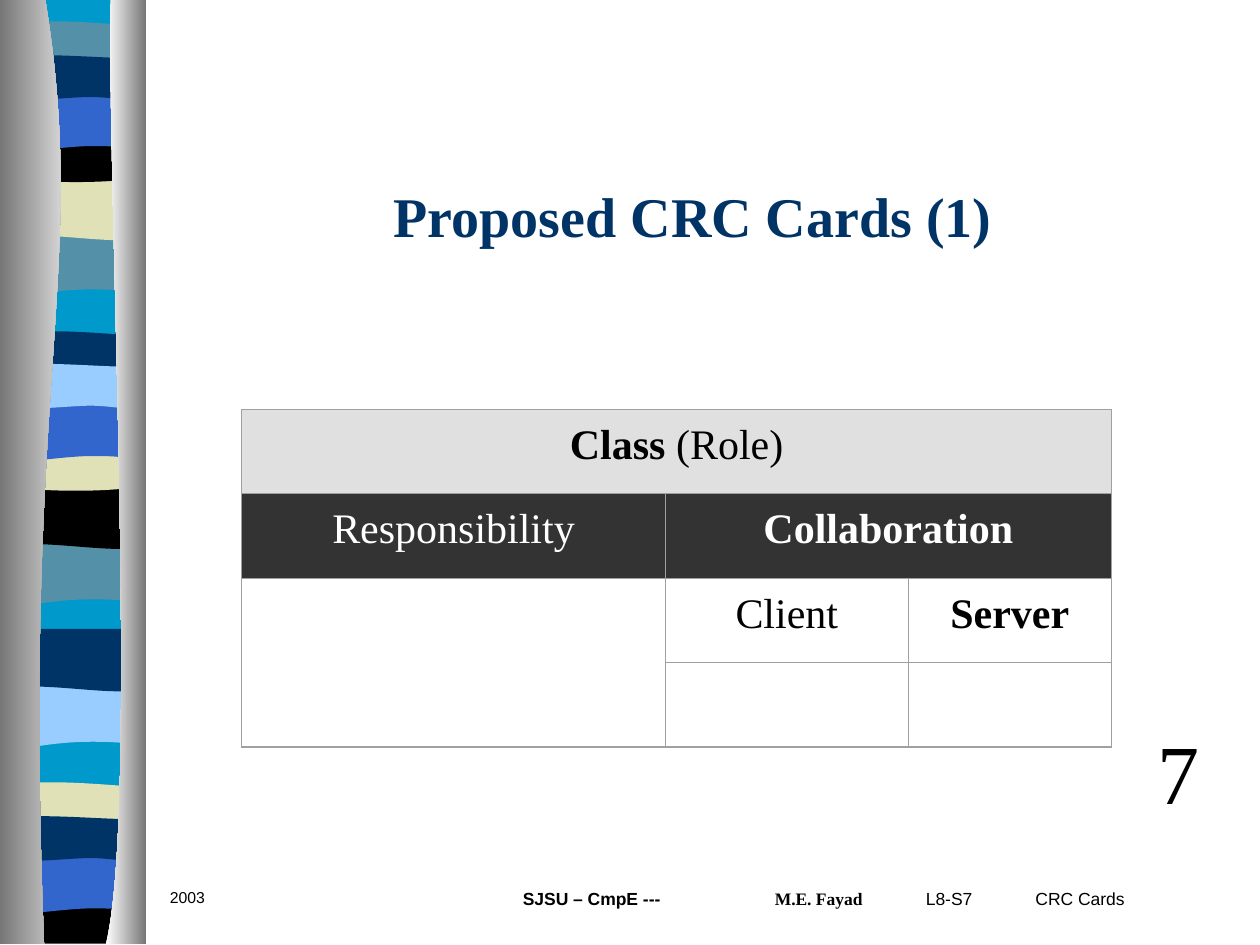
import dataclasses

import lxml.etree
import pptx
import pptx.dml.color
import pptx.enum.text
import pptx.oxml.ns
import pptx.util

Inches = pptx.util.Inches
Align = pptx.enum.text.PP_ALIGN
Anchor = pptx.enum.text.MSO_ANCHOR
qn = pptx.oxml.ns.qn


@dataclasses.dataclass(frozen=True)
class Theme:
    serif: str = "Times New Roman"
    sans: str = "Arial"
    black: str = "000000"
    white: str = "FFFFFF"
    navy: str = "003366"
    royal: str = "3366CC"
    teal: str = "5490A8"
    cyan: str = "0099CC"
    sky: str = "99CCFF"
    sand: str = "E1E1B7"
    steel: str = "767676"
    header: str = "E0E0E0"
    subheader: str = "333333"
    border: str = "A0A0A0"
    border_width: float = 0.75
    title_size: int = 32
    cell_size: int = 24
    number_size: int = 48
    footer_size: int = 10
    date_size: int = 9


THEME = Theme()
LEFT, RIGHT = 0.06, 1.14

# Band outlines below the band's top: each part is a line end or a curve's
# two controls and end. The first list runs leftwards, the second rightwards.
FLAT_TOP = [[(RIGHT, 0)]]
PROFILES = {
    "swell": ([[(RIGHT, 0.47)], [(0.39, 0.39), (0.24, 0.55), (LEFT, 0.47)]], FLAT_TOP),
    "ripple": ([[(RIGHT, 0.47)], [(0.96, 0.55), (0.39, 0.42), (LEFT, 0.47)]], FLAT_TOP),
    "lens": ([[(RIGHT, 0.24)], [(0.96, 0.28), (0.24, 0.28), (LEFT, 0.24)]],
             [[(0.12, -0.05), (0.29, -0.04), (0.47, -0.04)],
              [(0.65, -0.04), (1.0, -0.01), (RIGHT, 0)]]),
    "bowl": ([[(RIGHT, 0.32)], [(0.96, 0.38), (0.24, 0.38), (LEFT, 0.32)]],
             [[(0.72, 0.05), (0.91, 0), (RIGHT, 0)]]),
    "floor": ([[(RIGHT, 0.37)], [(LEFT, 0.37)]],
              [[(0.72, 0.05), (0.91, 0), (RIGHT, 0)]]),
    "arch": ([[(RIGHT, 0.47)], [(0.97, 0.42), (0.9, 0.42), (0.72, 0.42)],
              [(0.54, 0.42), (0.22, 0.47), (LEFT, 0.47)]], FLAT_TOP),
    "wave": ([[(RIGHT, 0.31)], [(1.07, 0.36), (0.9, 0.31), (0.72, 0.31)],
              [(0.54, 0.31), (0.17, 0.36), (LEFT, 0.31)]],
             [[(0.21, -0.05), (0.79, 0), (0.97, 0)], [(RIGHT, 0)]]),
}

# Bands from back to front: profile, top, colour
BANDS = [
    ("swell", 1.85, THEME.teal), ("ripple", 1.41, THEME.sand),
    ("lens", 0.21, THEME.teal), ("bowl", 1.08, THEME.black),
    ("arch", 0.74, THEME.royal), ("wave", 0.46, THEME.navy),
    ("swell", 4.31, THEME.teal), ("ripple", 3.86, THEME.black),
    ("lens", 2.67, THEME.navy), ("bowl", 3.53, THEME.sand),
    ("arch", 3.2, THEME.royal), ("wave", 2.91, THEME.sky),
    ("swell", 5.44, THEME.sky), ("ripple", 4.99, THEME.navy),
    ("lens", 6.25, THEME.sand), ("floor", 7.12, THEME.black),
    ("arch", 6.79, THEME.royal), ("wave", 6.5, THEME.navy),
]


def rgb(value):
    return pptx.dml.color.RGBColor.from_string(value)


def write(para, text, font=THEME.serif, size=THEME.cell_size, color=THEME.black, bold=False):
    """Add one formatted span to a paragraph."""
    span = para.add_run()
    span.text = text
    span.font.name = font
    span.font.size = pptx.util.Pt(size)
    span.font.bold = bold
    span.font.color.rgb = rgb(color)


class SlideBuilder:
    def __init__(self, slide, theme):
        self.slide = slide
        self.theme = theme

    def title(self, text, left, top, width, height):
        box = self.slide.shapes.title
        box.left, box.top, box.width, box.height = map(Inches, (left, top, width, height))
        box.text_frame.vertical_anchor = Anchor.MIDDLE
        para = box.text_frame.paragraphs[0]
        para.alignment = Align.CENTER
        write(para, text, size=self.theme.title_size, color=self.theme.navy, bold=True)

    def text(self, spans, left, top, width, height, wrap=True, indent=0.1, tab=None):
        box = self.slide.shapes.add_textbox(*map(Inches, (left, top, width, height)))
        box.text_frame.word_wrap = wrap
        box.text_frame.margin_left = Inches(indent)
        para = box.text_frame.paragraphs[0]
        if tab:
            tabs = lxml.etree.SubElement(para._p.get_or_add_pPr(), qn("a:tabLst"))
            lxml.etree.SubElement(tabs, qn("a:tab"), pos=str(Inches(tab)), algn="l")
        for words, style in spans:
            write(para, words, **style)

    def outline(self, start, parts, color, end_color=None):
        """Draw a closed outline; parts of three points are curves."""
        points = [tuple(map(Inches, point)) for part in parts for point in part]
        builder = self.slide.shapes.build_freeform(*map(Inches, start), scale=1.0)
        builder.add_line_segments(points, close=True)
        shape = builder.convert_to_shape()
        segments = iter(list(shape._element.iter(qn("a:lnTo"))))
        for part in parts:
            first = next(segments)
            if len(part) == 3:
                first.tag = qn("a:cubicBezTo")
                for _ in range(2):
                    extra = next(segments)
                    first.append(extra[0])
                    extra.getparent().remove(extra)
        shape.shadow.inherit = False
        shape.line.fill.background()
        if end_color:
            shape.fill.gradient()
            shape.fill.gradient_angle = 0
            for stop, value in zip(shape.fill.gradient_stops, (color, end_color)):
                stop.color.rgb = rgb(value)
        else:
            shape.fill.solid()
            shape.fill.fore_color.rgb = rgb(color)

    def band(self, profile, top, color):
        bottom_edge, top_edge = PROFILES[profile]
        parts = bottom_edge + [[(LEFT, 0)]] + top_edge
        moved = [[(x, top + y) for x, y in part] for part in parts]
        self.outline((RIGHT, top), moved, color)

    def cell_border(self, cell):
        properties = cell._tc.get_or_add_tcPr()
        for index, side in enumerate(("lnL", "lnR", "lnT", "lnB")):
            width = str(pptx.util.Pt(self.theme.border_width))
            line = lxml.etree.Element(qn("a:" + side), w=width)
            fill = lxml.etree.SubElement(line, qn("a:solidFill"))
            lxml.etree.SubElement(fill, qn("a:srgbClr"), val=self.theme.border)
            properties.insert(index, line)

    def table(self, left, top, widths, row_height, fills, merges, cells):
        rows, columns = len(fills), len(widths)
        size = (sum(widths), rows * row_height)
        table = self.slide.shapes.add_table(rows, columns, *map(Inches, (left, top, *size))).table
        table.first_row = table.horz_banding = False
        for column, width in zip(table.columns, widths):
            column.width = Inches(width)
        for row, fill in zip(table.rows, fills):
            row.height = Inches(row_height)
            for cell in row.cells:
                cell.margin_top = Inches(0.1)
                cell.fill.solid()
                cell.fill.fore_color.rgb = rgb(fill)
                self.cell_border(cell)
        for first, last in merges:
            table.cell(*first).merge(table.cell(*last))
        for place, spans in cells.items():
            para = table.cell(*place).text_frame.paragraphs[0]
            para.alignment = Align.CENTER
            for words, style in spans:
                write(para, words, **style)


def main():
    deck = pptx.Presentation()
    deck.slide_width, deck.slide_height = Inches(10), Inches(7.5)
    page = SlideBuilder(deck.slides.add_slide(deck.slide_layouts[5]), THEME)

    # Striped ribbon between two metallic columns
    page.outline((RIGHT, 0), [[(RIGHT, 7.47)], [(LEFT, 7.47)], [(LEFT, 0)]], THEME.cyan)
    for band in BANDS:
        page.band(*band)
    page.outline((0.36, 0), [[(0.71, 2.16), (0.17, 2.96), (0.35, 7.49)], [(0, 7.49)], [(0, 0)]],
                 THEME.steel, THEME.white)
    page.outline((0.88, 0), [[(0.84, 1.25), (1.11, 6.46), (0.84, 7.49)], [(1.16, 7.49)], [(1.16, 0)]],
                 THEME.white, THEME.steel)

    # Footer and slide number
    footer = {"font": THEME.sans, "size": THEME.footer_size}
    page.text([("L8-S7\tCRC Cards", footer)], 7.25, 7, 2.5, 0.33, tab=0.87)
    page.text([("2003", {"font": THEME.sans, "size": THEME.date_size})], 1.25, 7, 2, 0.33)
    page.text([("SJSU – CmpE ---\t", {**footer, "bold": True}),
               ("M.E. Fayad", {"size": THEME.footer_size, "bold": True})],
              3.92, 7, 3.17, 0.33, indent=0.23, tab=2)
    page.text([("7", {"size": THEME.number_size})], 9.09, 5.67, 0.53, 0.9, wrap=False)

    # Title and CRC card
    page.title("Proposed CRC Cards (1)", 1.25, 1.33, 8.5, 0.75)
    page.table(
        1.92, 3.25, widths=(3.36, 1.93, 1.61), row_height=0.67,
        fills=(THEME.header, THEME.subheader, THEME.white, THEME.white),
        merges=[((0, 0), (0, 2)), ((1, 1), (1, 2)), ((2, 0), (3, 0))],
        cells={
            (0, 0): [("Class ", {"bold": True}), ("(Role)", {})],
            (1, 0): [("Responsibility", {"color": THEME.white})],
            (1, 1): [("Collaboration", {"color": THEME.white, "bold": True})],
            (2, 1): [("Client", {})],
            (2, 2): [("Server", {"bold": True})],
        })

    deck.save("out.pptx")


if __name__ == "__main__":
    main()
